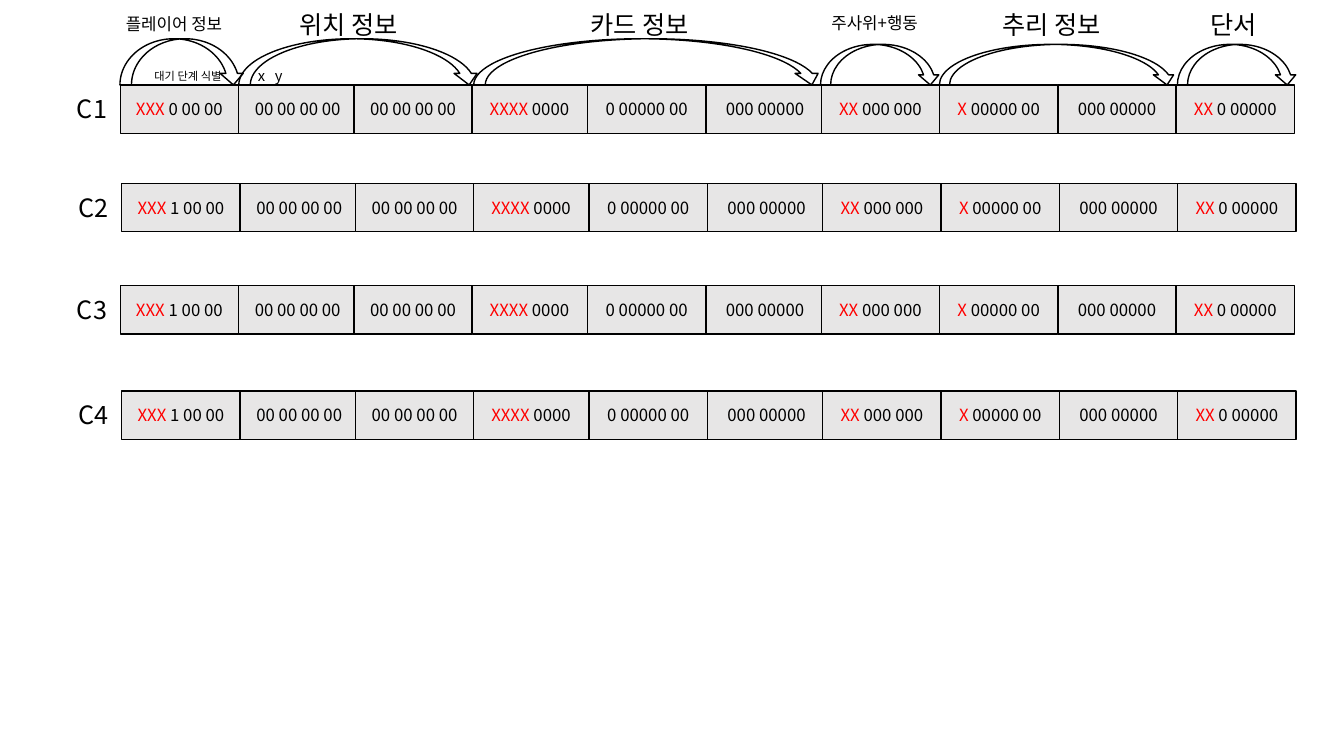
import itertools

import pptx
import pptx.util
import pptx.dml.color
import pptx.enum.shapes
import pptx.enum.text
import pptx.oxml
import pptx.oxml.ns

Pt = pptx.util.Pt
Shape = pptx.enum.shapes.MSO_SHAPE
COLORS = {"ink": "000000", "mark": "FF0000", "cell": "E7E6E6"}
FONT = "Noto Sans CJK KR"
CELL_WIDTH, CELL_HEIGHT = 84.5, 34.6
CELL_STEPS = [84.5, 82.4, 84.5, 82.4, 84.5, 82.4, 84.5, 84.5, 84.5]
ARROW_BOTTOM = 60.7

ROWS = [
    ("C1", 85.9, 60.7, "0"),
    ("C2", 87, 130.9, "1"),
    ("C3", 85.9, 203.9, "1"),
    ("C4", 87, 279.2, "1"),
]
CELLS = [
    ("XXX", " {} 00 00"),
    ("", "00 00 00 00"),
    ("", "00 00 00 00"),
    ("XXXX", " 0000 "),
    ("", "0 00000 00"),
    ("", "000 00000"),
    ("XX", " 000 000"),
    ("X", " 00000 00"),
    ("", "000 00000"),
    ("XX", " 0 00000"),
]
HEADINGS = [
    ("플레이어 정보", 82.8, 6.5, 91.4, 12),
    ("위치 정보", 206.6, 2.9, 93.6, 18),
    ("카드 정보", 414.7, 2.9, 93.6, 18),
    ("주사위+행동", 586.8, 5.8, 83.5, 12),
    ("추리 정보", 709.2, 2.9, 93.6, 18),
    ("단서", 857.5, 2.9, 51.1, 18),
]
ARROWS = [
    (170.6, 172.8, 33),
    (85.7, 89.3, 33),
    (338.4, 249.8, 33),
    (586.1, 85.7, 29),
    (671, 169.9, 29),
    (841, 85.7, 29),
]


def color(name):
    return pptx.dml.color.RGBColor.from_string(COLORS[name])


class PacketPage:
    def __init__(self, deck):
        self.page = deck.slides.add_slide(deck.slide_layouts[6])

    def add_span(self, para, text, size, ink="ink"):
        span = para.add_run()
        span.text = text
        for name, value in {"name": FONT, "size": Pt(size)}.items():
            setattr(span.font, name, value)
        span.font.color.rgb = color(ink)
        latin = span._r.rPr.find(pptx.oxml.ns.qn("a:latin"))
        east = pptx.oxml.parse_xml(
            f'<a:ea {pptx.oxml.ns.nsdecls("a")} typeface="{FONT}"/>'
        )
        latin.addnext(east)

    def label(self, text, left, top, width, height, size, wrap=False):
        box = self.page.shapes.add_textbox(Pt(left), Pt(top), Pt(width), Pt(height))
        style = {"word_wrap": wrap, "auto_size": pptx.enum.text.MSO_AUTO_SIZE.SHAPE_TO_FIT_TEXT}
        for name, value in style.items():
            setattr(box.text_frame, name, value)
        para = box.text_frame.paragraphs[0]
        self.add_span(para, text, size)
        return para

    def tab_stop(self, para, position):
        stops = pptx.oxml.parse_xml(
            f'<a:tabLst {pptx.oxml.ns.nsdecls("a")}><a:tab pos="{Pt(position)}" algn="l"/></a:tabLst>'
        )
        para._p.get_or_add_pPr().append(stops)

    def outline(self, shapes, kind, left, top, width, height):
        shape = shapes.add_shape(kind, Pt(left), Pt(top), Pt(width), Pt(height))
        shape.shadow.inherit = False
        shape.fill.background()
        shape.line.color.rgb = color("ink")
        shape.line.width = Pt(1)
        return shape

    def cell(self, shapes, left, top, mark, bits):
        box = self.outline(shapes, Shape.RECTANGLE, left, top, CELL_WIDTH, CELL_HEIGHT)
        box.fill.solid()
        box.fill.fore_color.rgb = color("cell")
        box.text_frame.vertical_anchor = pptx.enum.text.MSO_ANCHOR.MIDDLE
        para = box.text_frame.paragraphs[0]
        para.alignment = pptx.enum.text.PP_ALIGN.CENTER
        if mark:
            self.add_span(para, mark, 12, "mark")
        self.add_span(para, bits, 12)

    def packet(self, name, left, top, stage):
        self.label(name, left - 38, top + 2.6, 36, 28.8, 18)
        group = self.page.shapes.add_group_shape()
        offsets = itertools.accumulate(CELL_STEPS, initial=0)
        for offset, (mark, bits) in zip(offsets, CELLS):
            self.cell(group.shapes, left + offset, top, mark, bits.replace("{}", stage))

    def arrow(self, left, width, height):
        self.outline(self.page.shapes, Shape.CURVED_DOWN_ARROW,
                     left, ARROW_BOTTOM - height, width, height)


def main():
    deck = pptx.Presentation()
    deck.slide_width, deck.slide_height = Pt(960), Pt(540)
    sheet = PacketPage(deck)
    for row in ROWS:
        sheet.packet(*row)
    for text, left, top, width, size in HEADINGS:
        sheet.label(text, left, top, width, size * 1.2 + 7.2, size)
    for arrow in ARROWS:
        sheet.arrow(*arrow)
    sheet.label("대기 단계 식별", 103.2, 46.1, 70.6, 17, 8, wrap=True)
    axes = sheet.label("x\ty", 177.1, 43.9, 42.5, 20, 10.5, wrap=True)
    sheet.tab_stop(axes, 12.1)
    deck.save("out.pptx")


if __name__ == "__main__":
    main()
